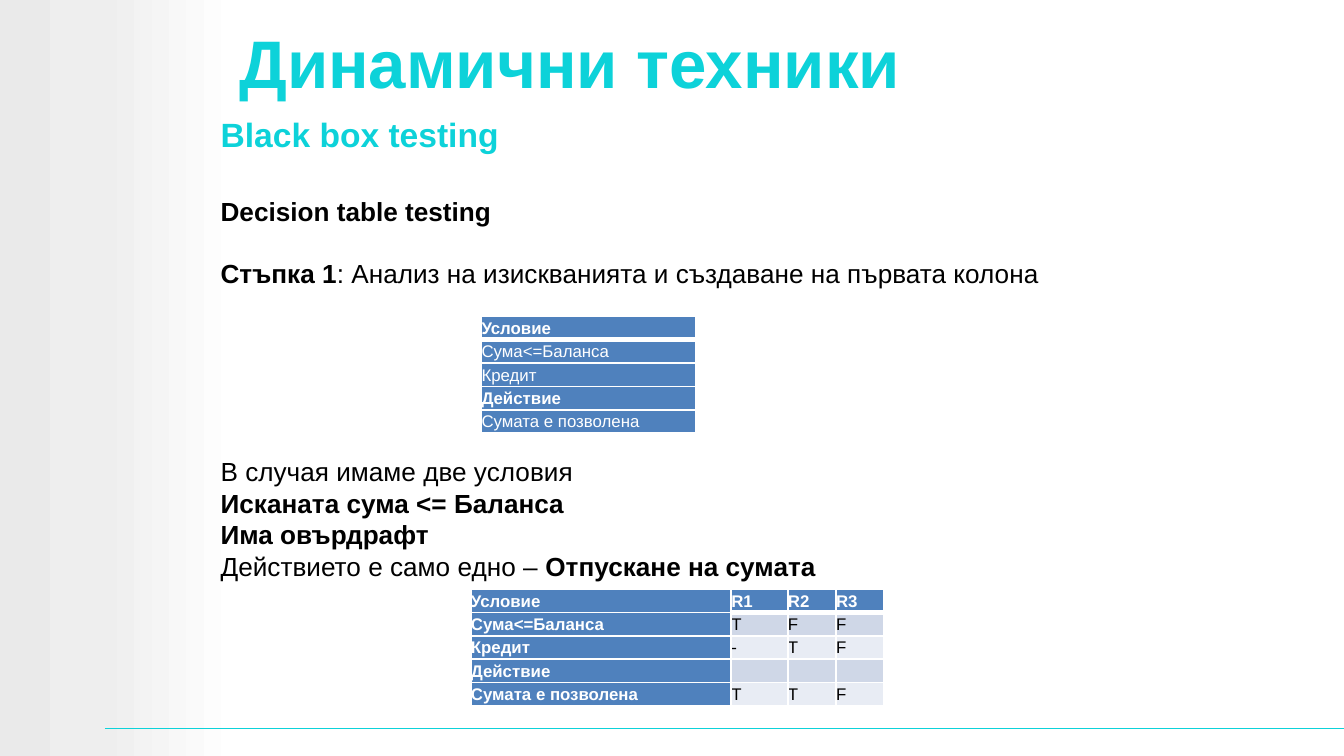
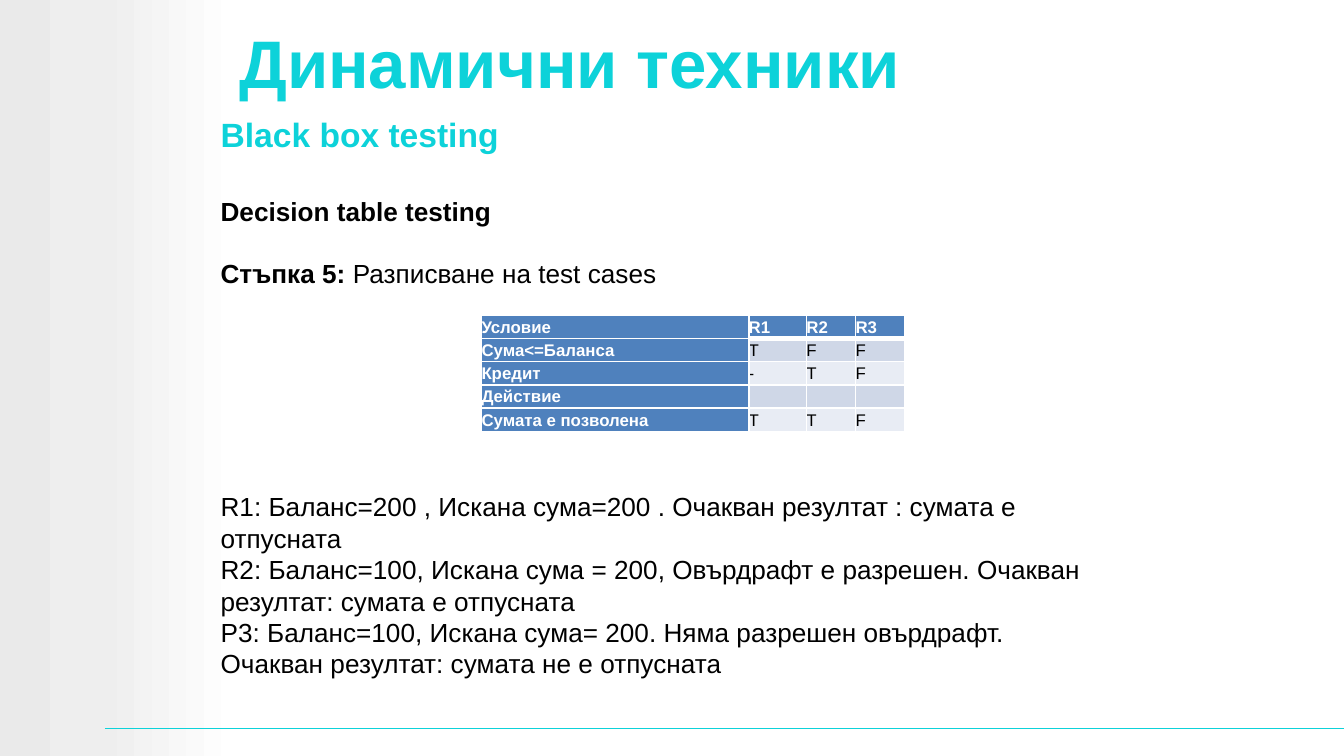
from lxml import etree
from pptx import Presentation
from pptx import util as u
from pptx.dml.color import RGBColor
from pptx.enum import shapes, text
from pptx.oxml.ns import qn

FONT = "Arial"
TURQUOISE, WHITE, BLACK = "0DD2D9", "FFFFFF", "000000"
BLUE, BANDS = "4F81BD", ("E8ECF4", "CFD7E7")
BAND_STOPS = ((0, "EAEAEA"), (42, "EEEEEE"), (100, WHITE))
WIDTH, HEIGHT = u.Cm(25.4), u.Cm(14.28)
TEXT_LEFT = 4.04
INSET = u.Cm(0.13)
ROW_HEIGHT = u.Cm(0.44)
BLANK_LINE = 16.6

CONDITIONS = ["Условие", "Сума<=Баланса", "Кредит", "Действие", "Сумата е позволена"]
RULES = [
    ["R1", "R2", "R3"],
    ["Т", "F", "F"],
    ["-", "T", "F"],
    ["", "", ""],
    ["Т", "T", "F"],
]
DECISIONS = [[name] + values for name, values in zip(CONDITIONS, RULES)]


def rgb(value):
    return RGBColor.from_string(value)


def format_run(r, size, color, bold):
    r.font.name = FONT
    r.font.size = u.Pt(size)
    r.font.bold = bold
    r.font.color.rgb = rgb(color)


def format_frame(tf, anchor):
    tf.word_wrap = True
    tf.vertical_anchor = anchor
    tf.margin_left = tf.margin_right = tf.margin_top = tf.margin_bottom = INSET


def add_master_shape(prs, sp, number):
    """Move a shape from its slide to the back of the master."""
    sp.element.xpath(".//p:cNvPr")[0].set("id", str(100 + number))
    prs.slide_master.shapes.element.insert(2 + number, sp.element)


def add_side_band(slide):
    sp = slide.shapes.add_shape(shapes.MSO_SHAPE.RECTANGLE, 0, 0, u.Cm(4.5), HEIGHT)
    sp.shadow.inherit = False
    sp.line.fill.background()
    sp.fill.gradient()
    sp.fill.gradient_angle = 0
    stops = sp.element.xpath(".//a:gsLst")[0]
    for stop in list(stops):
        stops.remove(stop)
    for position, color in BAND_STOPS:
        stop = etree.SubElement(stops, qn("a:gs"), pos=str(position * 1000))
        etree.SubElement(stop, qn("a:srgbClr"), val=color)
    return sp


def add_footer_line(slide):
    y = u.Cm(13.76)
    line = slide.shapes.add_connector(
        shapes.MSO_CONNECTOR.STRAIGHT, u.Cm(1.98), y, WIDTH, y)
    line.line.color.rgb = rgb(TURQUOISE)
    line.line.width = u.Pt(1)
    etree.SubElement(line.element.spPr, qn("a:effectLst"))
    return line


def add_text(slide, top, width, height, paragraphs, size=14, color=BLACK, gap=0):
    """Each paragraph is a list of (text, bold); gap is the points between them."""
    box = slide.shapes.add_textbox(
        u.Cm(TEXT_LEFT), u.Cm(top), u.Cm(width), u.Cm(height))
    tf = box.text_frame
    format_frame(tf, text.MSO_ANCHOR.TOP)
    tf.auto_size = text.MSO_AUTO_SIZE.SHAPE_TO_FIT_TEXT
    for i, runs in enumerate(paragraphs):
        p = tf.add_paragraph() if i else tf.paragraphs[0]
        p.space_before = u.Pt(gap if i else 0)
        for words, bold in runs:
            r = p.add_run()
            r.text = words
            format_run(r, size, color, bold)


def set_borders(cell, top, bottom):
    tc_pr = cell._tc.get_or_add_tcPr()
    for side, points in (("L", 1), ("R", 1), ("T", top), ("B", bottom)):
        ln = etree.SubElement(tc_pr, qn(f"a:ln{side}"), w=str(u.Pt(points)))
        fill = etree.SubElement(ln, qn("a:solidFill"))
        etree.SubElement(fill, qn("a:srgbClr"), val=WHITE)


def fill_cell(cell, words, color, bold, fill):
    cell.margin_left = cell.margin_right = cell.margin_top = cell.margin_bottom = 0
    cell.fill.solid()
    cell.fill.fore_color.rgb = rgb(fill)
    p = cell.text_frame.paragraphs[0]
    p.line_spacing = 1.15
    if words:
        p.text = words
        format_run(p.runs[0], 9, color, bold)
    else:
        etree.SubElement(p._p, qn("a:endParaRPr"), sz="900")


def add_decision_table(slide, left, top, widths, rows, bold_rows):
    frame = slide.shapes.add_table(
        len(rows), len(widths), u.Cm(left), u.Cm(top),
        u.Cm(sum(widths)), ROW_HEIGHT * len(rows))
    table = frame.table
    for column, width in zip(table.columns, widths):
        column.width = u.Cm(width)
    for i, values in enumerate(rows):
        table.rows[i].height = ROW_HEIGHT
        for j, words in enumerate(values):
            cell = table.cell(i, j)
            heading = i == 0 or j == 0
            # The heavy rule under the header skips a column of row headings.
            heavy = 3 if j or len(widths) == 1 else 1
            set_borders(cell, heavy if i == 1 else 1, heavy if i == 0 else 1)
            fill_cell(cell, words, WHITE if heading else BLACK,
                      heading and i in bold_rows, BLUE if heading else BANDS[i % 2])


def add_technique_slide(prs, step):
    """Add a slide with the title, the subtitle and the step that it explains."""
    slide = prs.slides.add_slide(prs.slide_layouts[5])
    title = slide.shapes.title
    title.left, title.top = u.Cm(4.39), u.Cm(0.08)
    title.width, title.height = u.Cm(21.01), u.Cm(2.16)
    tf = title.text_frame
    tf.text = "Динамични техники"
    format_frame(tf, text.MSO_ANCHOR.MIDDLE)
    p = tf.paragraphs[0]
    p.alignment = text.PP_ALIGN.LEFT
    format_run(p.runs[0], 36, TURQUOISE, True)
    add_text(slide, 2.03, 15.34, 1.73, [[("Black box testing", True)]], 18, TURQUOISE)
    add_text(slide, 3.56, 17.55, 3.63,
             [[("Decision table testing", True)], step], gap=BLANK_LINE)
    return slide


def main():
    prs = Presentation()
    prs.slide_width, prs.slide_height = WIDTH, HEIGHT
    all_rows = range(len(CONDITIONS))

    slide = add_technique_slide(prs, [
        ("Стъпка 1", True),
        (": Анализ на изискванията и създаване на първата колона", False)])
    for number, sp in enumerate((add_side_band(slide), add_footer_line(slide))):
        add_master_shape(prs, sp, number)
    add_decision_table(slide, 9.1, 5.98, [4.06], [[name] for name in CONDITIONS], (0, 3))
    add_text(slide, 8.48, 17.96, 2.49, [
        [("В случая имаме две условия", False)],
        [("Исканата сума <= Баланса", True)],
        [("Има овърдрафт", True)],
        [("Действието е само едно – ", False), ("Отпускане на сумата", True)]])
    add_decision_table(slide, 8.9, 11.13, [4.92, 1.07, 0.91, 0.91], DECISIONS, all_rows)

    slide = add_technique_slide(prs, [
        ("Стъпка 5:", True), (" Разписване на test cases", False)])
    add_decision_table(slide, 9.1, 5.95, [5.05, 1.09, 0.93, 0.93], DECISIONS, all_rows)
    add_text(slide, 9.14, 16.94, 3.63, [[(case, False)] for case in (
        "R1: Баланс=200 , Искана сума=200 . Очакван резултат : сумата е отпусната",
        "R2: Баланс=100, Искана сума = 200, Овърдрафт е разрешен. "
        "Очакван резултат: сумата е отпусната",
        "Р3: Баланс=100, Искана сума= 200. Няма разрешен овърдрафт. "
        "Очакван резултат: сумата не е отпусната")])

    prs.save("out.pptx")


if __name__ == "__main__":
    main()
